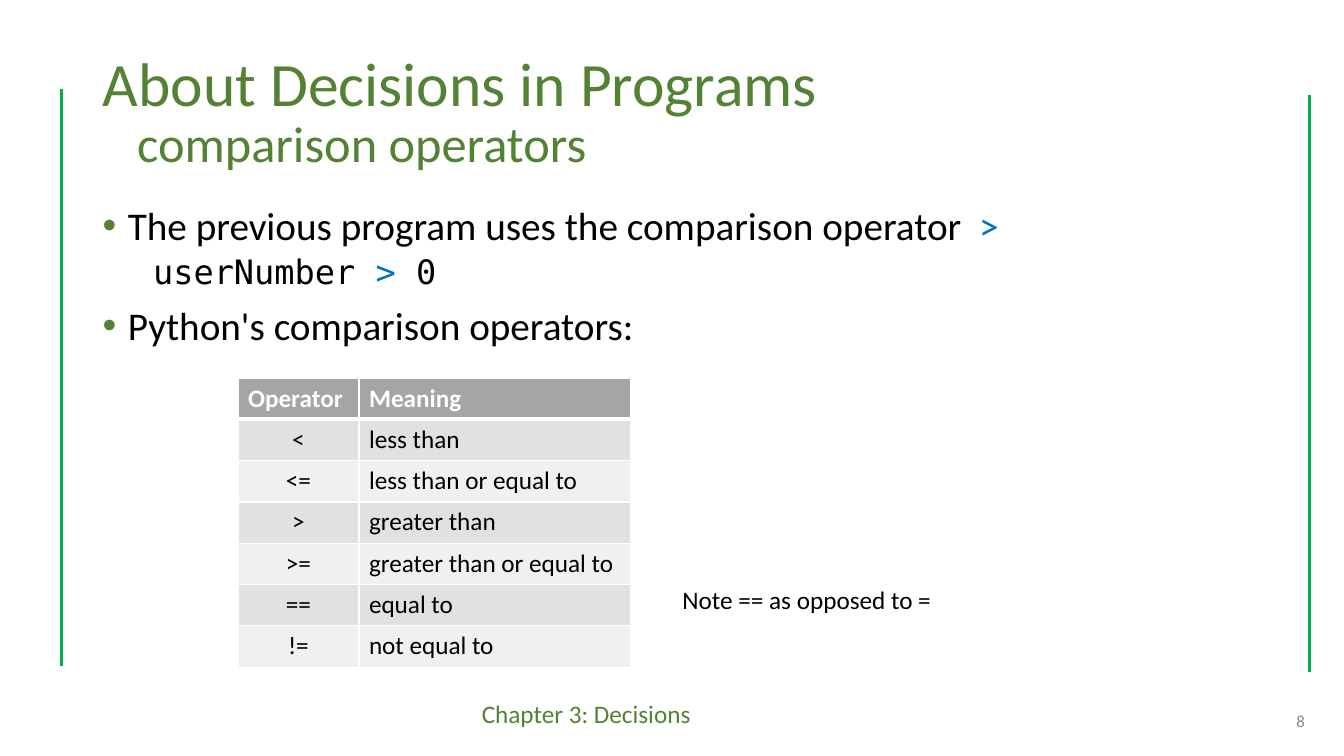
"""Build the slide on Python's comparison operators."""
from dataclasses import dataclass

from lxml.etree import SubElement
from pptx import Presentation
from pptx.dml.color import RGBColor
from pptx.enum.shapes import MSO_CONNECTOR as Connector
from pptx.enum.text import MSO_ANCHOR as Anchor, MSO_AUTO_SIZE as AutoSize, PP_ALIGN as Align
from pptx.oxml.ns import qn
from pptx.util import Inches, Pt

GREEN, RULE_GREEN, BLUE = "548235", "00B050", "0070C0"
BLACK, WHITE, GRAY = "000000", "FFFFFF", "8C8C8C"
HEADER_FILL, BAND_FILLS = "A5A5A5", ("E1E1E1", "F0F0F0")
SANS, MONO = "Calibri", "DejaVu Sans Mono"


@dataclass
class Label:
    """A one-line text box, in inches."""
    text: str
    left: float
    top: float
    width: float
    size: int
    color: str
    align: Align = Align.LEFT
    anchor: Anchor = Anchor.TOP


@dataclass
class Point:
    """A paragraph of the body, with its runs and their colours."""
    runs: list[tuple[str, str]]
    size: int
    before: int
    font: str = SANS
    margin: float = 0.25
    bullet: bool = True


@dataclass
class Rule:
    """A vertical side rule, in inches."""
    left: float
    top: float
    height: float = 5.73


LABELS = [
    Label("Chapter 3: Decisions", 4.68, 6.88, 3.95, 18, GREEN),
    Label("8", 10.04, 6.95, 3, 12, GRAY, Align.RIGHT, Anchor.MIDDLE),
    Label("Note == as opposed to =", 6.67, 5.75, 3.05, 18, BLACK),
]
POINTS = [
    Point([("The previous program uses the comparison operator  ", BLACK), (">", BLUE)], 28, 10),
    Point([("userNumber ", BLACK), (">", BLUE), (" 0", BLACK)], 24, 5, MONO, 0.5, False),
    Point([("Python's comparison operators:", BLACK)], 28, 10),
]
RULES = [Rule(0.61, 0.88), Rule(12.99, 0.94)]
OPERATORS = [
    ("Operator", "Meaning"),
    ("<", "less than"),
    ("<=", "less than or equal to"),
    (">", "greater than"),
    (">=", "greater than or equal to"),
    ("==", "equal to"),
    ("!=", "not equal to"),
]
COLUMN_WIDTHS = (1.2, 2.69)
ROW_HEIGHT = 0.41


def rgb(color: str) -> RGBColor:
    """Turn a hex string into a colour."""
    return RGBColor.from_string(color)


def set_font(font, size: int, color: str, name: str = SANS, bold: bool = False) -> None:
    """Set the face, size, weight and colour of a font."""
    font.name, font.size, font.bold = name, Pt(size), bold
    font.color.rgb = rgb(color)


def set_indent(paragraph, margin: float, first: float = 0) -> None:
    """Set the left margin and first-line indent of a paragraph."""
    properties = paragraph._p.get_or_add_pPr()
    properties.set("marL", str(Inches(margin)))
    properties.set("indent", str(Inches(first)))


def add_bullet(paragraph) -> None:
    """Give a paragraph a green round bullet."""
    properties = paragraph._p.get_or_add_pPr()
    SubElement(SubElement(properties, qn("a:buClr")), qn("a:srgbClr"), val=GREEN)
    SubElement(properties, qn("a:buFont"), typeface="Arial")
    SubElement(properties, qn("a:buChar"), char="•")


def add_rule(slide, rule: Rule) -> None:
    """Draw a vertical side rule."""
    left, top = Inches(rule.left), Inches(rule.top)
    line = slide.shapes.add_connector(
        Connector.STRAIGHT, left, top, left, top + Inches(rule.height))
    line.line.color.rgb = rgb(RULE_GREEN)
    line.line.width = Pt(2.25)
    SubElement(line._element.spPr, qn("a:effectLst"))


def add_label(slide, label: Label) -> None:
    """Add a one-line text box."""
    box = slide.shapes.add_textbox(
        Inches(label.left), Inches(label.top), Inches(label.width), Inches(0.4))
    frame = box.text_frame
    frame.word_wrap = True
    frame.vertical_anchor = label.anchor
    paragraph = frame.paragraphs[0]
    paragraph.text = label.text
    paragraph.alignment = label.align
    set_font(paragraph.font, label.size, label.color)


def fill_title(slide) -> None:
    """Place the title and write its two lines."""
    title = slide.shapes.title
    title.left, title.top = Inches(0.92), Inches(0.4)
    title.width, title.height = Inches(11.5), Inches(1.45)
    frame = title.text_frame
    frame.text = "About Decisions in Programs\ncomparison operators"
    frame.auto_size = AutoSize.NONE
    frame.vertical_anchor = Anchor.MIDDLE
    for paragraph, size, margin in zip(frame.paragraphs, (44, 36), (0, 0.34)):
        paragraph.alignment = Align.LEFT
        paragraph.line_spacing = 0.9
        set_indent(paragraph, margin)
        set_font(paragraph.font, size, GREEN)


def add_body(slide, points: list[Point]) -> None:
    """Add the bulleted points."""
    box = slide.shapes.add_textbox(Inches(0.92), Inches(2), Inches(11.5), Inches(4.76))
    frame = box.text_frame
    frame.word_wrap = True
    for index, point in enumerate(points):
        paragraph = frame.add_paragraph() if index else frame.paragraphs[0]
        paragraph.line_spacing = 0.9
        paragraph.space_before = Pt(point.before)
        set_indent(paragraph, point.margin, -point.margin if point.bullet else 0)
        if point.bullet:
            add_bullet(paragraph)
        for text, color in point.runs:
            run = paragraph.add_run()
            run.text = text
            set_font(run.font, point.size, color, point.font)


def style_cell(cell, fill: str, bottom_width: float) -> None:
    """Give a cell white borders and a plain fill."""
    properties = cell._tc.get_or_add_tcPr()
    for side, width in (("L", 1), ("R", 1), ("T", 1), ("B", bottom_width)):
        border = SubElement(properties, qn(f"a:ln{side}"), w=str(Pt(width)))
        SubElement(SubElement(border, qn("a:solidFill")), qn("a:srgbClr"), val=WHITE)
    cell.fill.solid()
    cell.fill.fore_color.rgb = rgb(fill)


def add_operator_table(slide) -> None:
    """Add the table of operators and their meanings."""
    table = slide.shapes.add_table(
        len(OPERATORS), len(COLUMN_WIDTHS), Inches(2.36), Inches(3.75),
        Inches(sum(COLUMN_WIDTHS)), Inches(ROW_HEIGHT * len(OPERATORS))).table
    for column, width in zip(table.columns, COLUMN_WIDTHS):
        column.width = Inches(width)
    for row, texts in enumerate(OPERATORS):
        header = row == 0
        fill = HEADER_FILL if header else BAND_FILLS[(row - 1) % 2]
        for column, text in enumerate(texts):
            cell = table.cell(row, column)
            style_cell(cell, fill, 3 if header else 1)
            paragraph = cell.text_frame.paragraphs[0]
            paragraph.text = text
            paragraph.alignment = Align.LEFT if header or column else Align.CENTER
            set_font(paragraph.font, 18, WHITE if header else BLACK, bold=header)


def main() -> None:
    """Build and save the presentation."""
    presentation = Presentation()
    presentation.slide_width, presentation.slide_height = Inches(13.33), Inches(7.5)
    slide = presentation.slides.add_slide(presentation.slide_layouts[5])
    for rule in RULES:
        add_rule(slide, rule)
    fill_title(slide)
    add_body(slide, POINTS)
    add_operator_table(slide)
    for label in LABELS:
        add_label(slide, label)
    presentation.save("out.pptx")


if __name__ == "__main__":
    main()
